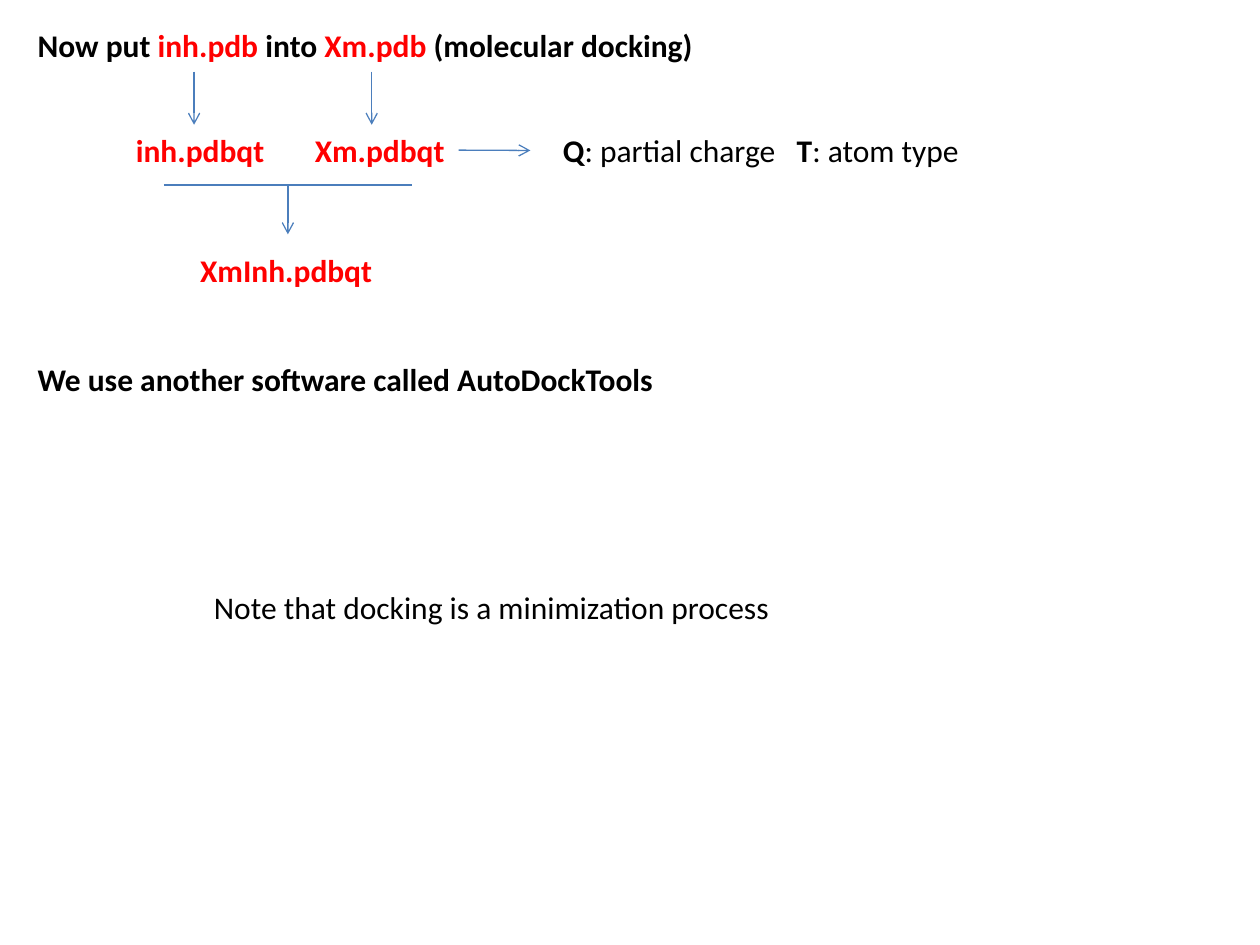
from lxml import etree
from pptx import Presentation
from pptx.dml.color import RGBColor
from pptx.enum import shapes, text
from pptx.oxml import ns
from pptx.util import Pt

BLACK, RED, BLUE = "000000", "FF0000", "4B7EBC"


def color(hex_string):
    return RGBColor.from_string(hex_string)


class DockingSlide:
    font_name = "Calibri"
    font_size = 18
    text_height = 29
    line_width = 0.75

    def __init__(self, presentation):
        self.slide = presentation.slides.add_slide(presentation.slide_layouts[6])

    def label(self, left, top, width, *runs, tab=None):
        """Add one line of text; each run is (words, colour, bold)."""
        shape = self.slide.shapes.add_textbox(
            Pt(left), Pt(top), Pt(width), Pt(self.text_height))
        frame = shape.text_frame
        frame.word_wrap = False
        frame.auto_size = text.MSO_AUTO_SIZE.SHAPE_TO_FIT_TEXT
        paragraph = frame.paragraphs[0]
        if tab:
            properties = paragraph._p.get_or_add_pPr()
            tabs = etree.SubElement(properties, ns.qn("a:tabLst"))
            etree.SubElement(tabs, ns.qn("a:tab"), pos=str(Pt(tab)), algn="l")
        for words, hex_string, bold in runs:
            run = paragraph.add_run()
            run.text = words
            run.font.name = self.font_name
            run.font.size = Pt(self.font_size)
            run.font.bold = bold
            run.font.color.rgb = color(hex_string)
        return shape

    def line(self, x1, y1, x2, y2, arrow=True):
        connector = self.slide.shapes.add_connector(
            shapes.MSO_CONNECTOR.STRAIGHT, Pt(x1), Pt(y1), Pt(x2), Pt(y2))
        connector.line.color.rgb = color(BLUE)
        connector.line.width = Pt(self.line_width)
        if arrow:
            etree.SubElement(connector.line._get_or_add_ln(),
                             ns.qn("a:tailEnd"), type="arrow")
        etree.SubElement(connector._element.spPr, ns.qn("a:effectLst"))
        return connector


def main():
    presentation = Presentation()
    presentation.slide_width, presentation.slide_height = Pt(720), Pt(540)
    docking = DockingSlide(presentation)

    # Heading
    docking.label(14.4, 11.5, 390.2,
                  ("Now put ", BLACK, True), ("inh.pdb ", RED, True),
                  ("into", BLACK, True), (" Xm.pdb ", RED, True),
                  ("(molecular docking)", BLACK, True))

    # Conversion of both input files
    for x in (110.9, 212.4):
        docking.line(x, 41, x, 71.3)
    docking.label(70.6, 71.3, 88.6, ("inh.pdbqt", RED, True))
    receptor = docking.label(172.8, 71.3, 89.3, ("Xm.pdbqt", RED, True))

    # Meaning of the file extension
    docking.line(262.1, 86, 303.1, 86).begin_connect(receptor, 3)
    docking.label(314.6, 71.3, 241.9,
                  ("Q", BLACK, True), (": partial charge\t", BLACK, False),
                  ("T", BLACK, True), (": atom type", BLACK, False), tab=133.6)

    # Merged complex
    bar_left, bar_right, bar_y = 93.6, 235.4, 105.8
    middle = (bar_left + bar_right) / 2
    docking.line(bar_left, bar_y, bar_right, bar_y, arrow=False)
    docking.line(middle, bar_y, middle, 133.9)
    docking.label(107.3, 139.7, 113.8, ("XmInh.pdbqt", RED, True))

    # Remarks
    docking.label(14.4, 202.3, 369.4,
                  ("We use another software called AutoDockTools", BLACK, True))
    docking.label(115.2, 332.6, 335.5,
                  ("Note that docking is a minimization process", BLACK, False))

    presentation.save("out.pptx")


if __name__ == "__main__":
    main()
